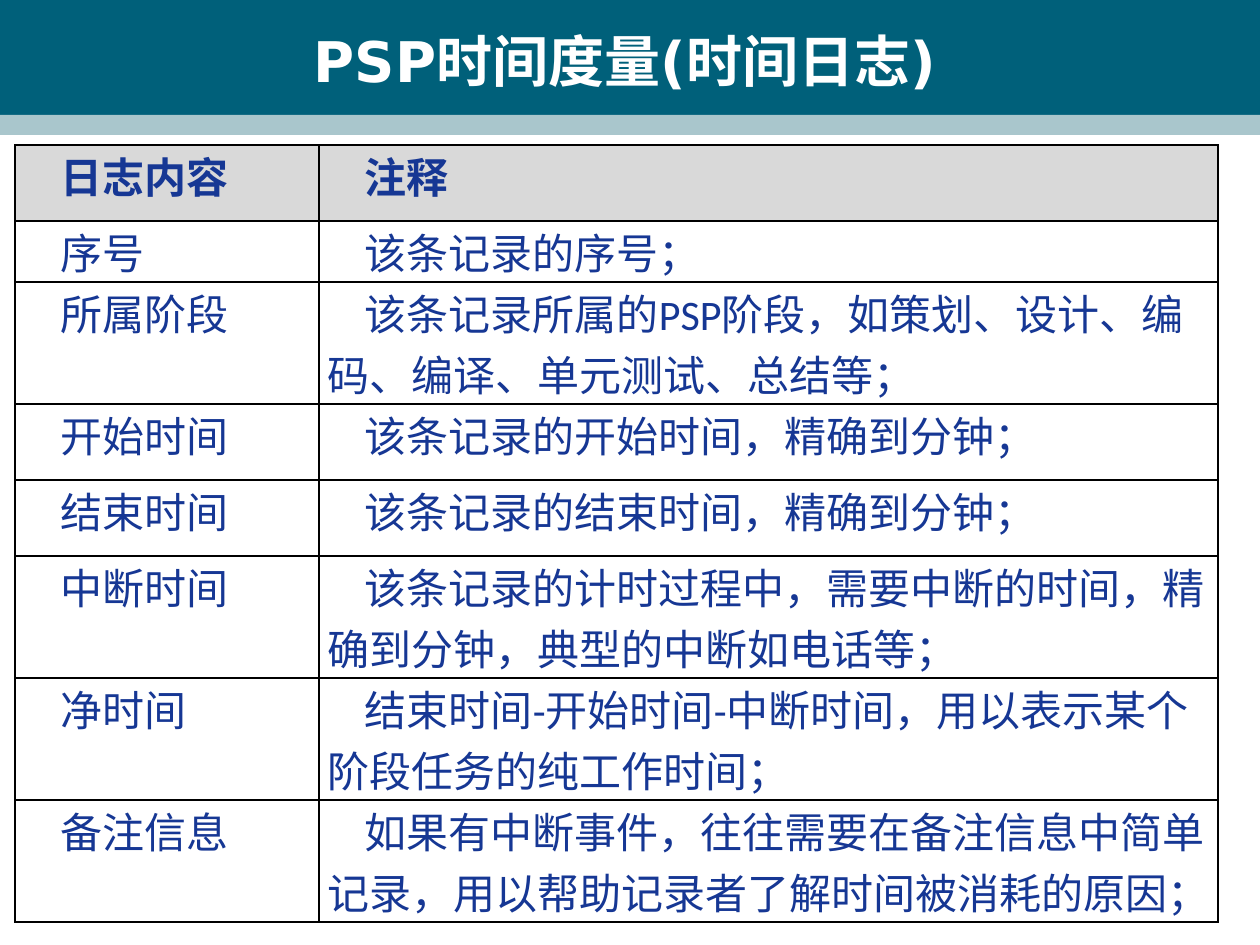
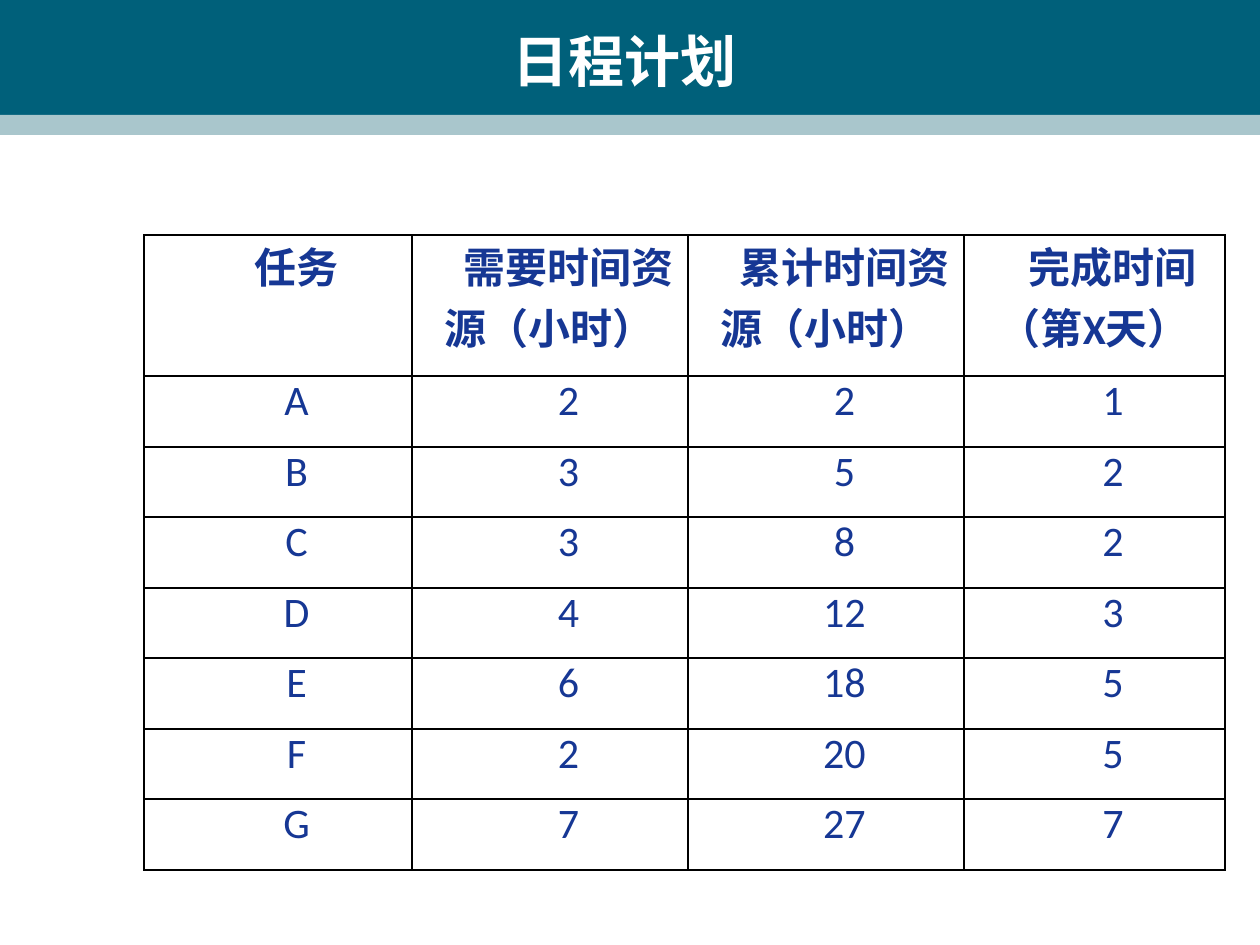
from dataclasses import dataclass

from lxml.etree import SubElement
from pptx import Presentation
from pptx.dml.color import RGBColor
from pptx.enum.lang import MSO_LANGUAGE_ID
from pptx.enum.shapes import MSO_SHAPE
from pptx.enum.text import MSO_ANCHOR, PP_ALIGN
from pptx.oxml.ns import qn
from pptx.util import Pt

EMU_PER_PX = 914400 / 126


@dataclass(frozen=True)
class Theme:
    band: str = "00607A"
    stripe: str = "A9C6CC"
    title: str = "FFFFFF"
    ink: str = "163794"
    rule: str = "000000"
    grey: str = "D9D9D9"
    white: str = "FFFFFF"
    title_font: str = "DejaVu Sans"
    body_font: str = "Calibri"
    title_size: int = 32
    body_size: int = 24
    rule_width: int = 1


THEME = Theme()

LOG_FIELDS = [
    ("日志内容", "注释"),
    ("序号", "该条记录的序号；"),
    ("所属阶段", "该条记录所属的PSP阶段，如策划、设计、编码、编译、单元测试、总结等；"),
    ("开始时间", "该条记录的开始时间，精确到分钟；"),
    ("结束时间", "该条记录的结束时间，精确到分钟；"),
    ("中断时间", "该条记录的计时过程中，需要中断的时间，精确到分钟，典型的中断如电话等；"),
    ("净时间", "结束时间-开始时间-中断时间，用以表示某个阶段任务的纯工作时间；"),
    ("备注信息", "如果有中断事件，往往需要在备注信息中简单记录，用以帮助记录者了解时间被消耗的原因；"),
]

SCHEDULE = [
    ("任务", "需要时间资源（小时）", "累计时间资源（小时）", "完成时间（第X天）"),
    ("A", 2, 2, 1),
    ("B", 3, 5, 2),
    ("C", 3, 8, 2),
    ("D", 4, 12, 3),
    ("E", 6, 18, 5),
    ("F", 2, 20, 5),
    ("G", 7, 27, 7),
]


def px(length):
    return round(length * EMU_PER_PX)


def box(*lengths):
    return [px(length) for length in lengths]


def style_font(font, name, size, color, bold):
    font.name = name
    font.size = Pt(size)
    font.bold = bold
    font.color.rgb = RGBColor.from_string(color)
    font.language_id = MSO_LANGUAGE_ID.SIMPLIFIED_CHINESE


def add_band(slide, top, height, color):
    band = slide.shapes.add_shape(MSO_SHAPE.RECTANGLE, *box(0, top, 1260, height))
    band.shadow.inherit = False
    band.fill.solid()
    band.fill.fore_color.rgb = RGBColor.from_string(color)
    band.line.fill.background()


def add_title(slide, wording):
    frame = slide.shapes.add_textbox(*box(42, 21, 1166, 78)).text_frame
    frame.word_wrap = True
    frame.vertical_anchor = MSO_ANCHOR.MIDDLE
    heading = frame.paragraphs[0]
    heading.text = wording
    heading.alignment = PP_ALIGN.CENTER
    style_font(heading.font, THEME.title_font, THEME.title_size, THEME.title, True)


def add_titled_slide(deck, wording):
    slide = deck.slides.add_slide(deck.slide_layouts[6])
    add_band(slide, 0, 115, THEME.band)
    add_band(slide, 115, 20, THEME.stripe)
    add_title(slide, wording)
    return slide


def add_borders(cell):
    properties = cell._tc.get_or_add_tcPr()
    for side in ("a:lnL", "a:lnR", "a:lnT", "a:lnB"):
        border = SubElement(properties, qn(side), w=str(Pt(THEME.rule_width)))
        SubElement(SubElement(border, qn("a:solidFill")), qn("a:srgbClr"), val=THEME.rule)


def fill_cell(cell, wording, alignment, bold, color):
    cell.margin_left = cell.margin_right = px(9)
    cell.margin_top = cell.margin_bottom = 0
    add_borders(cell)
    if color:
        cell.fill.solid()
        cell.fill.fore_color.rgb = RGBColor.from_string(color)
    else:
        cell.fill.background()
    entry = cell.text_frame.paragraphs[0]
    entry.text = str(wording)
    entry.alignment = alignment
    entry._p.get_or_add_pPr().set("indent", str(px(37)))
    style_font(entry.font, THEME.body_font, THEME.body_size, THEME.ink, bold)


def add_grid(slide, records, corner, widths, heights, align, header_fill, body_fill):
    place = box(*corner, sum(widths), sum(heights))
    grid = slide.shapes.add_table(len(records), len(widths), *place).table
    for column, width in zip(grid.columns, widths):
        column.width = px(width)
    for row, height in zip(grid.rows, heights):
        row.height = px(height)
    for r, record in enumerate(records):
        is_header = r == 0
        color = header_fill if is_header else body_fill
        for c, wording in enumerate(record):
            fill_cell(grid.cell(r, c), wording, align(r, c), is_header, color)


def align_log(row, column):
    return PP_ALIGN.JUSTIFY if row == 0 or column == 0 else PP_ALIGN.LEFT


def align_schedule(row, column):
    return PP_ALIGN.CENTER


def main():
    deck = Presentation()
    deck.slide_width, deck.slide_height = box(1260, 945)

    time_log = add_titled_slide(deck, "PSP时间度量(时间日志)")
    add_grid(time_log, LOG_FIELDS, (15, 145), (304, 899),
             [76, 61, 122, 76, 76, 122, 122, 122], align_log, THEME.grey, None)

    schedule = add_titled_slide(deck, "日程计划")
    add_grid(schedule, SCHEDULE, (144, 235), (268, 276, 276, 261),
             [141] + [71, 70] * 3 + [71], align_schedule, THEME.white, THEME.white)

    deck.save("out.pptx")


if __name__ == "__main__":
    main()
